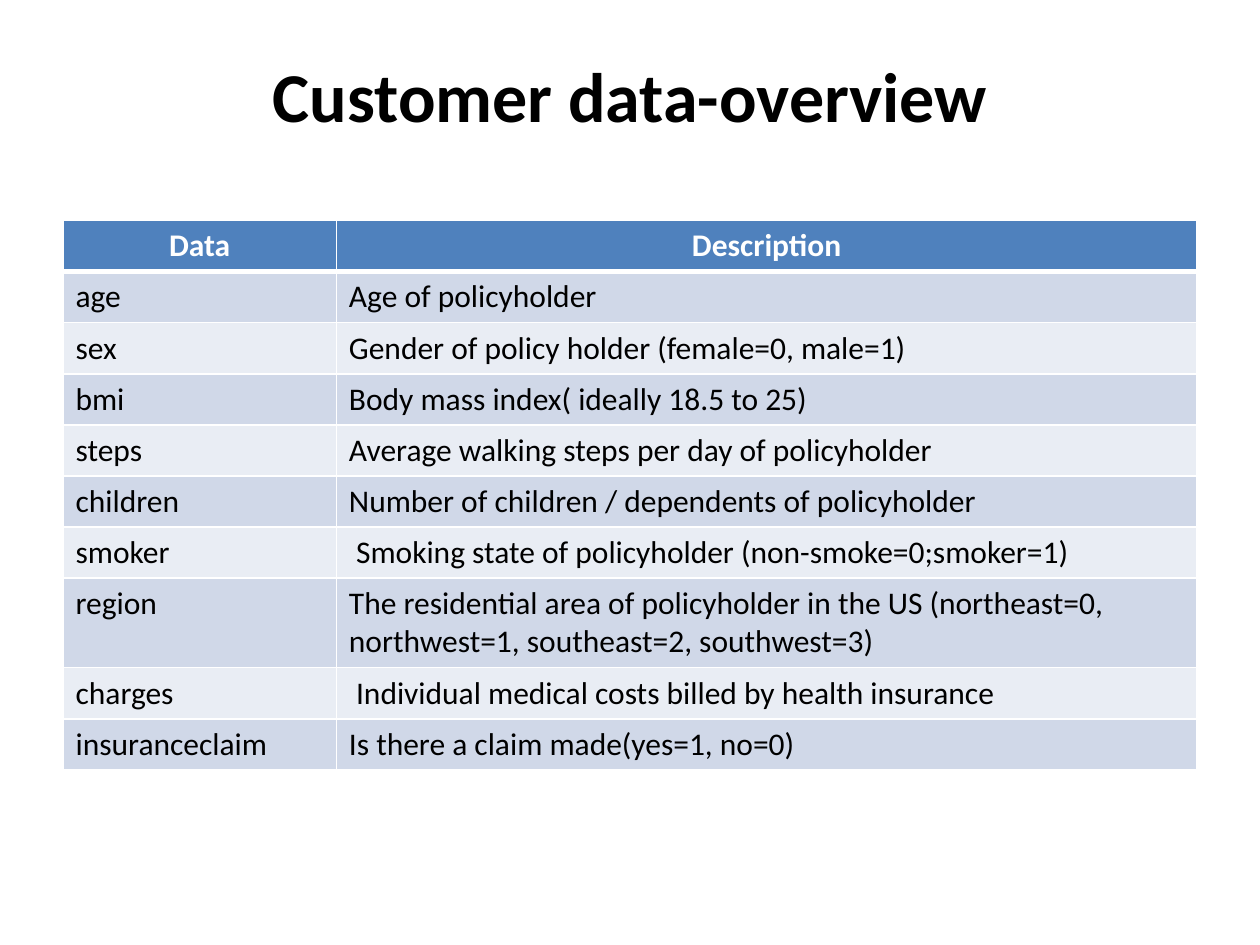
from pptx import Presentation
from pptx import util as u
from pptx.dml.color import RGBColor
from pptx.enum import text
from pptx.oxml import parse_xml
from pptx.oxml.ns import nsdecls

FONT = "Calibri"
WHITE, BLACK, BLUE = "FFFFFF", "000000", "4F81BD"
BANDS = ("D0D8E8", "E9EDF4")
LEFT, WIDTH = u.Inches(0.5), u.Inches(9)
COLS = (2.17, 6.83)
ROWS = [
    ("Data", "Description"),
    ("age", "Age of policyholder"),
    ("sex", "Gender of policy holder (female=0, male=1)"),
    ("bmi", "Body mass index( ideally 18.5 to 25)"),
    ("steps", "Average walking steps per day of policyholder"),
    ("children", "Number of children / dependents of policyholder"),
    ("smoker", " Smoking state of policyholder (non-smoke=0;smoker=1)"),
    ("region", "The residential area of policyholder in the US "
               "(northeast=0, northwest=1, southeast=2, southwest=3)"),
    ("charges", " Individual medical costs billed by health insurance"),
    ("insuranceclaim", "Is there a claim made(yes=1, no=0)"),
]


def color(code):
    return RGBColor.from_string(code)


def write(frame, words, size, code, bold=False, center=False):
    para = frame.paragraphs[0]
    para.alignment = text.PP_ALIGN.CENTER if center else text.PP_ALIGN.LEFT
    run = para.add_run()
    run.text = words
    font = run.font
    font.name, font.size, font.bold = FONT, u.Pt(size), bold
    font.color.rgb = color(code)


def border(cell, base):
    """Draw white cell edges, with the bottom one base points wide."""
    props = cell._tc.get_or_add_tcPr()
    edges = {"lnL": 1, "lnR": 1, "lnT": 1, "lnB": base}
    for spot, (tag, width) in enumerate(edges.items()):
        props.insert(spot, parse_xml(
            f'<a:{tag} {nsdecls("a")} w="{u.Pt(width)}"><a:solidFill>'
            f'<a:srgbClr val="{WHITE}"/></a:solidFill></a:{tag}>'))


def add_title(slide):
    title = slide.shapes.title
    title.left, title.top = LEFT, u.Inches(0.25)
    title.width, title.height = WIDTH, u.Inches(1)
    title.text_frame.vertical_anchor = text.MSO_ANCHOR.MIDDLE
    write(title.text_frame, "Customer data-overview", 40, BLACK, True, True)


def add_grid(slide):
    high = u.Pt(29.2)
    grid = slide.shapes.add_table(len(ROWS), len(COLS), LEFT, u.Inches(1.75),
                                  WIDTH, high * len(ROWS)).table
    for col, width in zip(grid.columns, COLS):
        col.width = u.Inches(width)
    for i, row in enumerate(ROWS):
        head = i == 0
        grid.rows[i].height = high
        for j, words in enumerate(row):
            cell = grid.cell(i, j)
            cell.fill.solid()
            cell.fill.fore_color.rgb = color(BLUE if head else BANDS[(i - 1) % 2])
            border(cell, 3 if head else 1)
            write(cell.text_frame, words, 18, WHITE if head else BLACK, head, head)


def main():
    deck = Presentation()
    deck.slide_width, deck.slide_height = u.Inches(10), u.Inches(7.5)
    slide = deck.slides.add_slide(deck.slide_layouts[5])
    add_title(slide)
    add_grid(slide)
    deck.save("out.pptx")


if __name__ == "__main__":
    main()
